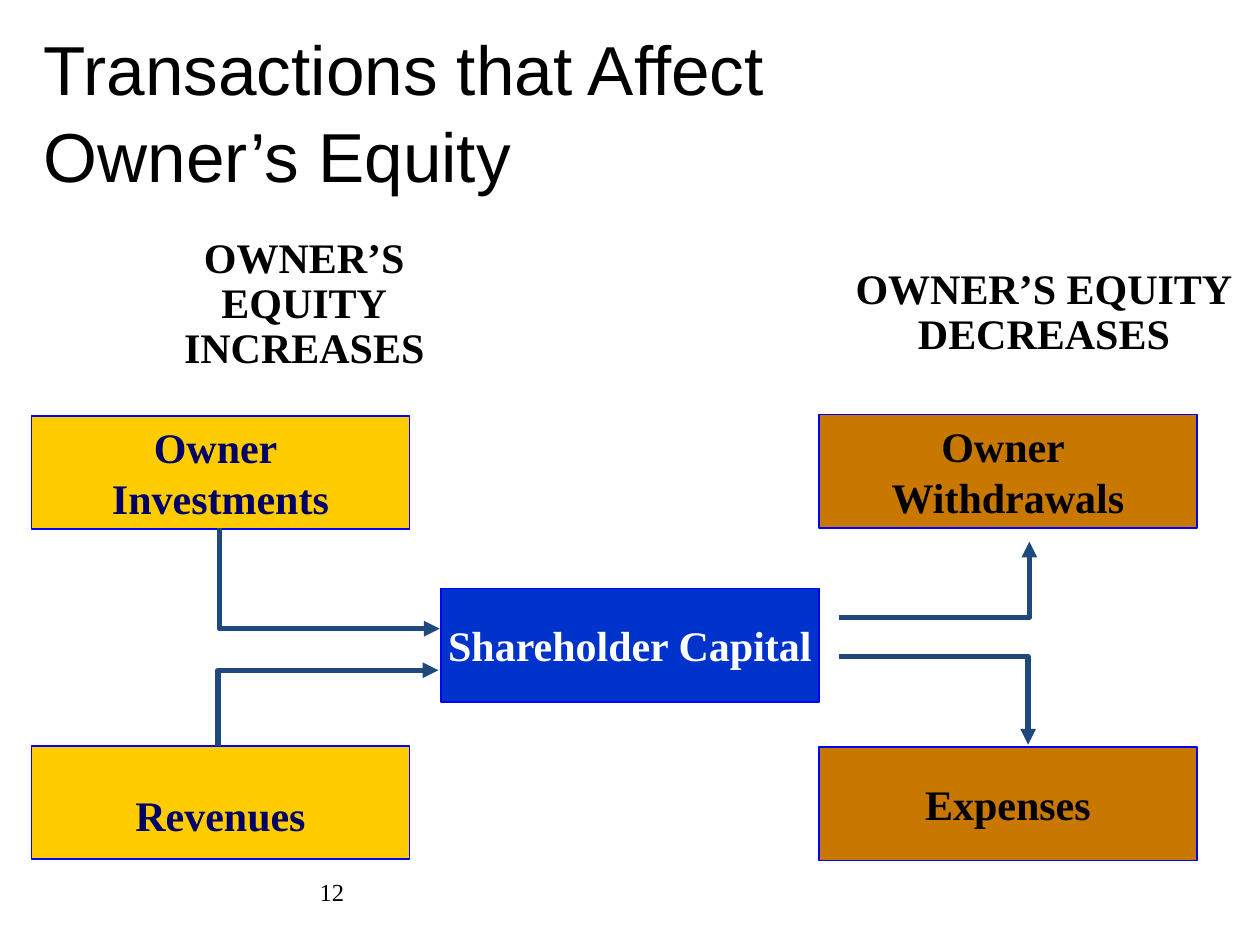
from typing import NamedTuple

from lxml.etree import SubElement
from pptx import Presentation
from pptx.dml.color import RGBColor
from pptx.enum.shapes import MSO_CONNECTOR, MSO_SHAPE
from pptx.enum.text import MSO_ANCHOR, PP_ALIGN
from pptx.oxml.ns import qn
from pptx.util import Inches, Pt

SERIF = "Times New Roman"
BOX_W, BOX_H = 3, 0.9
GOLD, BROWN, BLUE = "FFCC00", "C87700", "0033CC"
NAVY, BLACK, WHITE = "000066", "000000", "FFFFFF"
EDGE, STEEL = "0000FF", "1F497D"
BOLD = {"name": SERIF, "size": Pt(24), "bold": True}
TOP, MID = MSO_ANCHOR.TOP, MSO_ANCHOR.MIDDLE


class Label(NamedTuple):
    left: float
    top: float
    width: float
    height: float
    lines: list
    font: dict
    align: PP_ALIGN
    anchor: MSO_ANCHOR = TOP
    space: float = 1.0


class Box(NamedTuple):
    left: float
    top: float
    lines: list
    fill: str
    ink: str
    anchor: MSO_ANCHOR = MID
    space: float = 1.0


class Bend(NamedTuple):
    """An elbow that leaves the capital side level and turns once."""
    near: tuple
    far: tuple
    tip: str


LABELS = [
    Label(0.25, 0.18, 8.9, 1.38, ["Transactions that Affect\vOwner’s Equity"],
          {"name": "Arial", "size": Pt(39.6)}, PP_ALIGN.LEFT, MID, 1.04),
    Label(0.75, 6.83, 2.08, 0.5, ["12"],
          {"name": SERIF, "size": Pt(14)}, PP_ALIGN.RIGHT, MID),
    Label(1.08, 1.83, 2.67, 1.18, ["OWNER’S EQUITY", "INCREASES"],
          BOLD, PP_ALIGN.CENTER, space=0.9),
    Label(6.69, 2.08, 3.19, 0.82, ["OWNER’S EQUITY", "DECREASES"],
          BOLD, PP_ALIGN.CENTER, space=0.9),
]
BOXES = [
    Box(0.25, 3.3, ["Owner ", "Investments"], GOLD, NAVY, TOP),
    Box(0.25, 5.92, ["Revenues"], GOLD, NAVY, space=1.5),
    Box(6.5, 5.93, ["Expenses"], BROWN, BLACK),
    Box(6.5, 3.29, ["Owner ", "Withdrawals"], BROWN, BLACK, TOP),
    Box(3.5, 4.67, ["Shareholder Capital"], BLUE, WHITE),
]
BENDS = [
    Bend((6.66, 5.21), (8.16, 5.91), "tailEnd"),
    Bend((6.66, 4.9), (8.17, 4.3), "tailEnd"),
    Bend((3.49, 4.99), (1.74, 4.19), "headEnd"),
    Bend((3.48, 5.32), (1.73, 5.92), "headEnd"),
]


def paint(color, value: str) -> None:
    color.rgb = RGBColor.from_string(value)


def write(frame, lines: list, font: dict, ink: str, align, space: float) -> None:
    for i, line in enumerate(lines):
        para = frame.paragraphs[0] if i == 0 else frame.add_paragraph()
        para.text = line
        para.alignment = align
        para.line_spacing = space
        for run in para.runs:
            for key, value in font.items():
                setattr(run.font, key, value)
            paint(run.font.color, ink)


def add_label(shapes, label: Label) -> None:
    frame = shapes.add_textbox(*map(Inches, label[:4])).text_frame
    frame.word_wrap = True
    frame.vertical_anchor = label.anchor
    write(frame, label.lines, label.font, BLACK, label.align, label.space)


def add_box(shapes, box: Box) -> None:
    place = map(Inches, (box.left, box.top, BOX_W, BOX_H))
    shape = shapes.add_shape(MSO_SHAPE.RECTANGLE, *place)
    shape.shadow.inherit = False
    shape.fill.solid()
    paint(shape.fill.fore_color, box.fill)
    paint(shape.line.color, EDGE)
    shape.line.width = Pt(1)
    frame = shape.text_frame
    frame.word_wrap = False
    frame.vertical_anchor = box.anchor
    write(frame, box.lines, BOLD, box.ink, PP_ALIGN.CENTER, box.space)


def add_bend(shapes, bend: Bend) -> None:
    ends = map(Inches, bend.near + bend.far)
    link = shapes.add_connector(MSO_CONNECTOR.ELBOW, *ends)
    paint(link.line.color, STEEL)
    link.line.width = Pt(3)
    props = link._element.spPr
    props.find(qn("a:prstGeom")).set("prst", "bentConnector2")
    SubElement(props.find(qn("a:ln")), qn(f"a:{bend.tip}"), type="triangle")
    SubElement(props, qn("a:effectLst"))


def main() -> None:
    deck = Presentation()
    deck.slide_width, deck.slide_height = Inches(10), Inches(7.5)
    shapes = deck.slides.add_slide(deck.slide_layouts[6]).shapes
    for label in LABELS:
        add_label(shapes, label)
    for box in BOXES:
        add_box(shapes, box)
    for bend in BENDS:
        add_bend(shapes, bend)
    deck.save("out.pptx")


if __name__ == "__main__":
    main()
